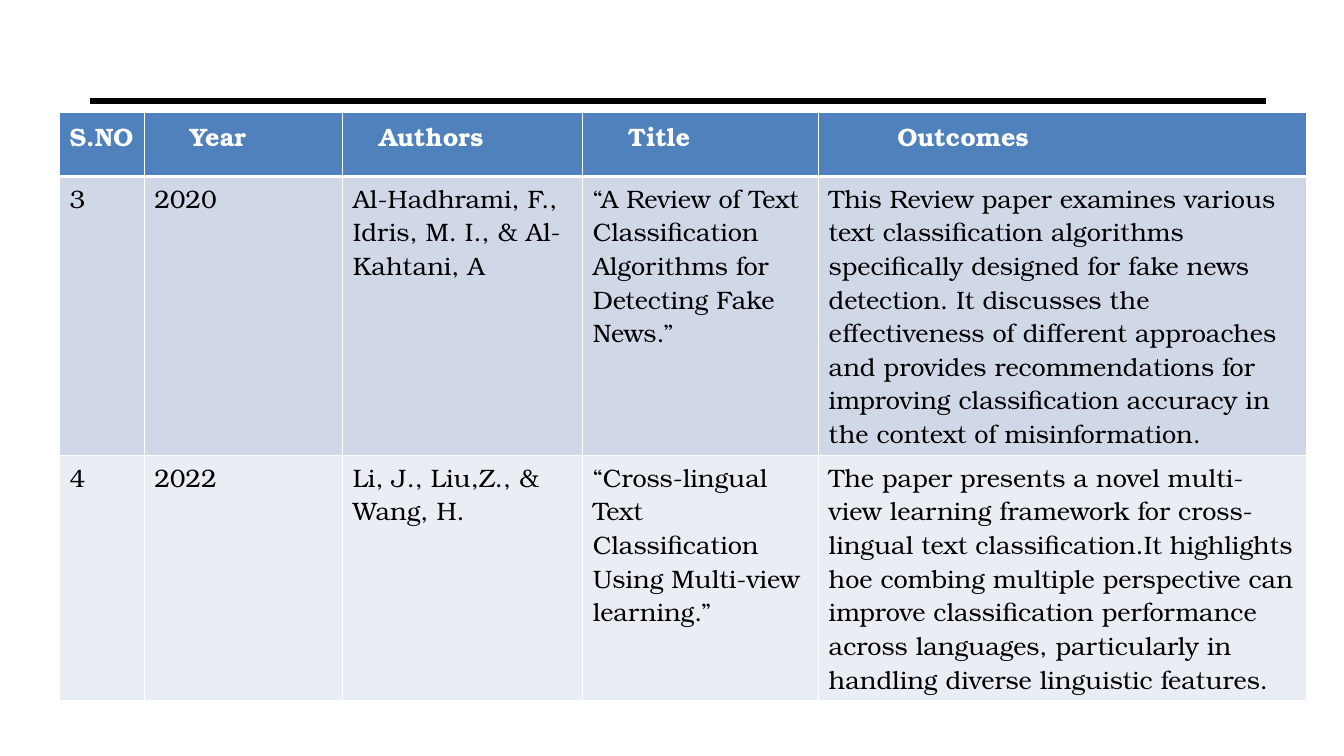
from pptx import Presentation
from pptx.dml.color import RGBColor as RGB
from pptx.enum.shapes import MSO_CONNECTOR as Link
from pptx.oxml.ns import qn
from pptx.util import Inches, Pt
from lxml.etree import SubElement as Sub

# Content
HEADS = ["S.NO", "Year", "Authors", "Title", "Outcomes"]
PAPERS = [
    ["3", "2020", "Al-Hadhrami, F., Idris, M. I., & Al-Kahtani, A",
     "“A Review of Text Classification Algorithms for Detecting Fake News.”",
     "This Review paper examines various text classification algorithms "
     "specifically designed for fake news detection. It discusses the "
     "effectiveness of different approaches and provides recommendations for "
     "improving classification accuracy in the context of misinformation."],
    ["4", "2022", "Li, J., Liu,Z., & Wang, H.",
     "“Cross-lingual Text Classification Using Multi-view learning.”",
     "The paper presents a novel multi-view learning framework for "
     "cross-lingual text classification.It highlights hoe combing multiple "
     "perspective can improve classification performance across languages, "
     "particularly in handling diverse linguistic features."],
]

# Layout in inches
WIDTHS = [0.84, 1.97, 2.38, 2.34, 4.84]
HEIGHTS = [0.63, 2.24, 2.24]
INSETS = [0.1, 0.45, 0.36, 0.45, 0.78]
PAD = 0.1

THEME = {
    "font": "TeX Gyre Bonum", "size": 18,
    "head": "4F81BD", "bands": ["D0D8E8", "E9EDF4"],
    "light": "FFFFFF", "dark": "000000",
    "rule": 4.5, "edge": 1, "thick": 3,
}


def color(name):
    return RGB.from_string(THEME[name])


def add_edges(cell, low):
    props = cell._tc.get_or_add_tcPr()
    edge = THEME["edge"]
    for tag, width in (("lnL", edge), ("lnR", edge), ("lnT", edge), ("lnB", low)):
        line = Sub(props, qn(f"a:{tag}"), w=str(Pt(width)))
        Sub(Sub(line, qn("a:solidFill")), qn("a:srgbClr"), val=THEME["light"])


def fill_cell(cell, text, fill, head, inset):
    add_edges(cell, THEME["thick"] if head else THEME["edge"])
    cell.fill.solid()
    cell.fill.fore_color.rgb = RGB.from_string(fill)
    cell.margin_left = Inches(inset)
    cell.text = text
    font = cell.text_frame.paragraphs[0].font
    font.name, font.size, font.bold = THEME["font"], Pt(THEME["size"]), head
    font.color.rgb = color("light" if head else "dark")


def main():
    deck = Presentation()
    deck.slide_width, deck.slide_height = Inches(13.33), Inches(7.5)
    slide = deck.slides.add_slide(deck.slide_layouts[6])

    # Rule above the table
    rule = slide.shapes.add_connector(
        Link.STRAIGHT, Inches(0.89), Inches(1), Inches(12.56), Inches(1))
    rule.line.color.rgb = color("dark")
    rule.line.width = Pt(THEME["rule"])
    Sub(rule._element.spPr, qn("a:effectLst"))

    # Table of papers
    rows = [HEADS] + PAPERS
    fills = [THEME["head"]] + THEME["bands"]
    table = slide.shapes.add_table(
        len(rows), len(HEADS), Inches(0.59), Inches(1.12),
        Inches(sum(WIDTHS)), Inches(sum(HEIGHTS))).table
    for col, width in zip(table.columns, WIDTHS):
        col.width = Inches(width)
    for r, texts in enumerate(rows):
        table.rows[r].height = Inches(HEIGHTS[r])
        for c, text in enumerate(texts):
            head = r == 0
            fill_cell(table.cell(r, c), text, fills[r], head,
                      INSETS[c] if head else PAD)

    deck.save("out.pptx")


if __name__ == "__main__":
    main()
